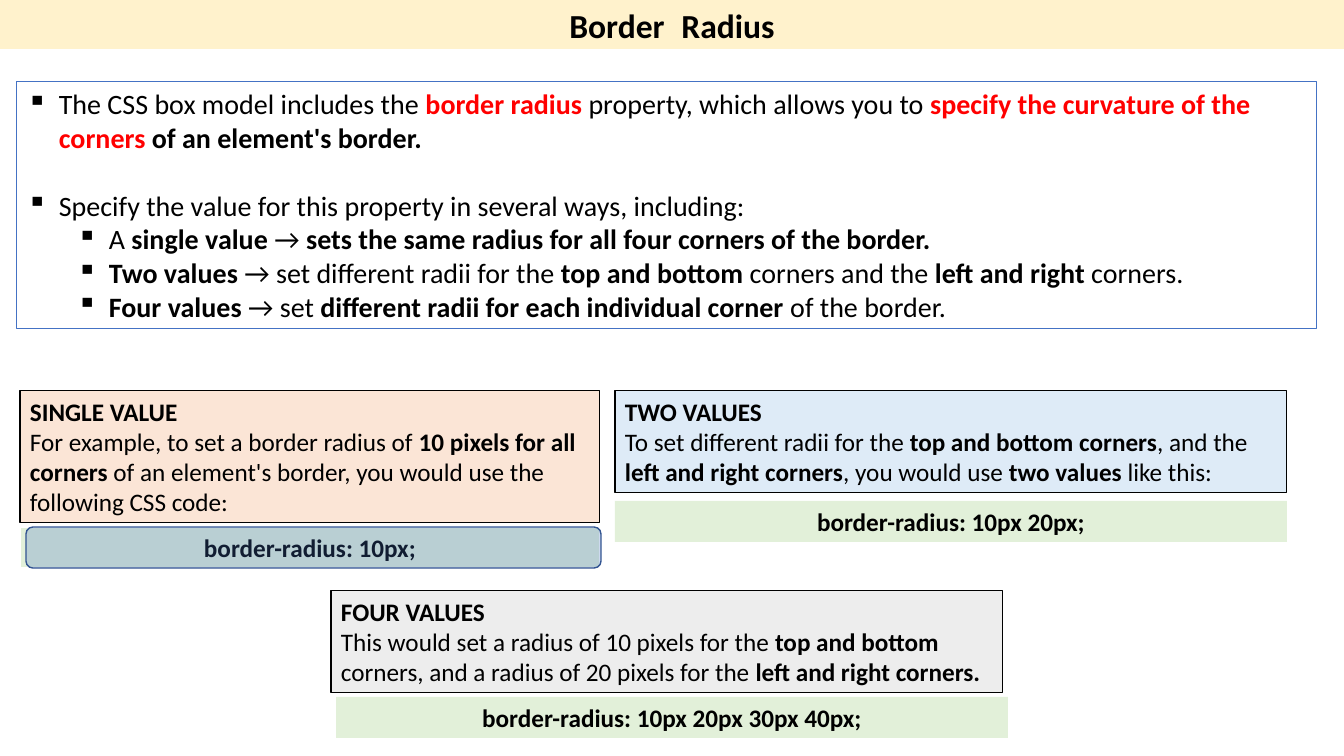
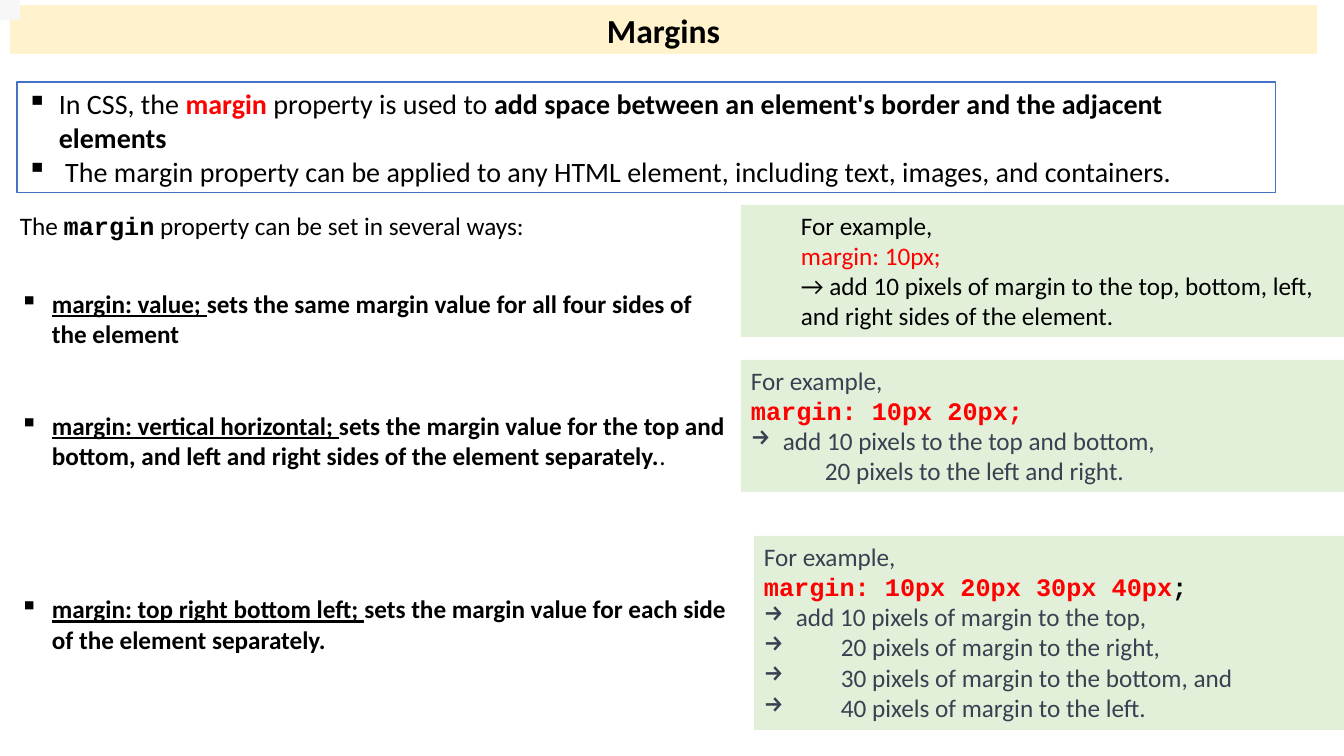
from lxml import etree
from pptx import Presentation
from pptx import util as u
from pptx.dml.color import RGBColor
from pptx.enum import shapes, text
from pptx.oxml.ns import qn

SCALE = 12192000 / 1344
CREAM, GREEN, BLUE = "FFF2CC", "E2F0D9", "4472C4"
BLACK, RED, GREY = "000000", "FF0000", "374151"
SQUARE, ARROW = "▪", "→"
CENTER = text.PP_ALIGN.CENTER


def color(value):
    return RGBColor.from_string(value)


def add_box(slide, bounds, paragraphs=(), fill=None, line=None, size=18, ink=BLACK,
            align=None, kind=shapes.MSO_SHAPE.RECTANGLE, weight=0.75):
    shape = slide.shapes.add_shape(kind, *[u.Emu(round(n * SCALE)) for n in bounds])
    shape.shadow.inherit = False
    if fill:
        shape.fill.solid()
        shape.fill.fore_color.rgb = color(fill)
    else:
        shape.fill.background()
    if line:
        shape.line.color.rgb = color(line)
        shape.line.width = u.Pt(weight)
    else:
        shape.line.fill.background()
    frame = shape.text_frame
    frame.word_wrap = True
    frame.vertical_anchor = text.MSO_ANCHOR.TOP
    for index, (left, bullet, before, pieces) in enumerate(paragraphs):
        paragraph = frame.add_paragraph() if index else frame.paragraphs[0]
        paragraph.alignment = align or text.PP_ALIGN.LEFT
        paragraph.space_before = u.Pt(before)
        properties = paragraph._p.get_or_add_pPr()
        properties.set("marL", str(round(left * SCALE)))
        if bullet:
            hang = left if bullet == ARROW else 32
            properties.set("indent", str(round(-hang * SCALE)))
            etree.SubElement(properties, qn("a:buChar")).set("char", bullet)
        for words, style in pieces:
            run = paragraph.add_run()
            run.text = words
            run.font.size = u.Pt(size)
            run.font.name = "Courier New" if "m" in style else "Calibri"
            run.font.bold = "b" in style
            run.font.underline = "u" in style
            run.font.color.rgb = color(RED if "r" in style else BLACK if "k" in style else ink)
    return shape


presentation = Presentation()
presentation.slide_width = u.Emu(12192000)
presentation.slide_height = u.Emu(6858000)

slides = []
for title, bounds in [("Border\u2002Radius", (0, 0, 1344, 49)), ("Margins", (10, 5, 1307, 49))]:
    slide = presentation.slides.add_slide(presentation.slide_layouts[6])
    add_box(slide, bounds, [(0, None, 0, [(title, "b")])], CREAM, size=24, align=CENTER)
    slides.append(slide)
radius_slide, margin_slide = slides

add_box(radius_slide, (17, 82, 1300, 247), [
    (32, SQUARE, 0, [
        ("The CSS box model includes the ", ""), ("border radius ", "br"),
        ("property, which allows you to ", ""),
        ("specify the curvature of the corners", "br"), (" of an element's border.", "b")]),
    (32, SQUARE, 24.4, [
        ("Specify the value for this property in several ways, including:", "")]),
    (82, SQUARE, 0, [
        ("A ", ""), ("single value ", "b"), ("→ ", ""),
        ("sets the same radius for all four corners of the border.", "b")]),
    (82, SQUARE, 0, [
        ("Two values ", "b"), ("→ set different radii for the ", ""),
        ("top and bottom ", "b"), ("corners and the ", ""),
        ("left and right ", "b"), ("corners.", "")]),
    (82, SQUARE, 0, [
        ("Four values ", "b"), ("→ set ", ""),
        ("different radii for each individual corner ", "b"), ("of the border.", "")]),
], line=BLUE, size=20)

cards = [
    ("SINGLE VALUE", (20, 391, 580, 132), "FBE5D6", [
        ("For example, to set a border radius of ", ""), ("10 pixels for all corners ", "b"),
        ("of an element's border, you would use the following CSS code:", "")],
     "border-radius: 10px;", (20, 527), "FFFFFF"),
    ("TWO VALUES", (615, 391, 672, 102), "DEEBF7", [
        ("To set different radii for the ", ""), ("top and bottom corners", "b"),
        (", and the ", ""), ("left and right corners", "b"),
        (", you would use ", ""), ("two values ", "b"), ("like this:", "")],
     "border-radius: 10px 20px;", (615, 501), None),
    ("FOUR VALUES", (331, 591, 672, 102), "EDEDED", [
        ("This would set a radius of 10 pixels for the ", ""), ("top and bottom ", "b"),
        ("corners, and a radius of 20 pixels for the ", ""), ("left and right corners.", "b")],
     "border-radius: 10px 20px 30px 40px;", (336, 697), None),
]
for heading, bounds, fill, pieces, code, corner, code_line in cards:
    add_box(radius_slide, bounds,
            [(0, None, 0, [(heading, "b")]), (0, None, 0, pieces)], fill, BLACK)
    add_box(radius_slide, (*corner, bounds[2], 41), [(0, None, 0, [(code, "b")])],
            GREEN, code_line, align=CENTER)

rounded_overlay = add_box(radius_slide, (26, 527, 575, 41), fill=BLUE, line="325491",
                          kind=shapes.MSO_SHAPE.ROUNDED_RECTANGLE, weight=1)
fill_color = rounded_overlay._element.spPr.find(qn("a:solidFill"))[0]
etree.SubElement(fill_color, qn("a:alpha")).set("val", "26000")

add_box(margin_slide, (17, 82, 1259, 111), [
    (32, SQUARE, 0, [
        ("In CSS, the ", ""), ("margin ", "br"), ("property is used to ", ""),
        ("add space between an element's border and the adjacent elements", "b")]),
    (32, SQUARE, 0, [
        (" The margin property can be applied to any HTML element, "
         "including text, images, and containers.", "")]),
], line=BLUE, size=20)
add_box(margin_slide, (0, 0, 20, 20), fill="F7F7F8")

add_box(margin_slide, (10, 205, 728, 455), [
    (0, None, 0, [
        ("The ", ""), ("margin", "bm"), (" property can be set in several ways:", "")]),
    (32, SQUARE, 34.2, [
        ("margin: value; ", "bu"),
        ("sets the same margin value for all four sides of the element", "b")]),
    (32, SQUARE, 43.9, [
        ("margin: vertical horizontal; ", "bu"),
        ("sets the margin value for the top and bottom, "
         "and left and right sides of the element separately.", "b"), (".", "")]),
    (32, SQUARE, 87.9, [
        ("margin: top right bottom left; ", "bu"),
        ("sets the margin value for each side of the element separately.", "b")]),
])

examples = [
    ((741, 205, 603, 132), BLACK, 50, [("margin: 10px;", "r")], [
        (50, None, "→ add 10 pixels of margin to the top, bottom, left, "
                   "and right sides of the element.")]),
    ((741, 360, 603, 132), GREY, 0, [("margin: 10px 20px;", "bmr")], [
        (32, ARROW, "add 10 pixels to the top and bottom,"),
        (74, None, "20 pixels to the left and right.")]),
    ((754, 536, 590, 194), GREY, 0, [("margin: 10px 20px 30px 40px", "bmr"), (";", "bmk")], [
        (32, ARROW, "add 10 pixels of margin to the top,"),
        (77, ARROW, "20 pixels of margin to the right,"),
        (77, ARROW, "30 pixels of margin to the bottom, and"),
        (77, ARROW, "40 pixels of margin to the left.")]),
]
for bounds, ink, left, code, results in examples:
    add_box(margin_slide, bounds, [
        (left, None, 0, [("For example,", "")]),
        (left, None, 0, code),
        *[(indent, bullet, 0, [(words, "")]) for indent, bullet, words in results],
    ], GREEN, ink=ink)

presentation.save("out.pptx")
